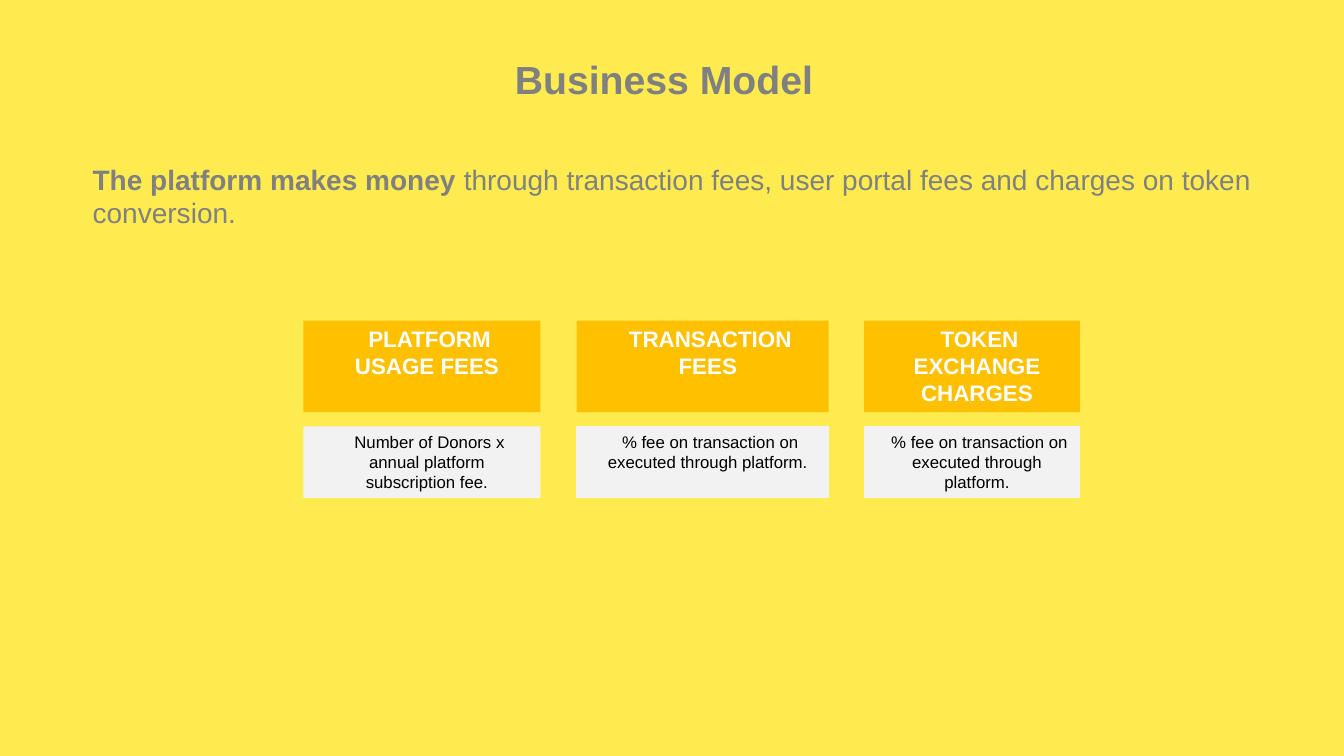
"""Build the Business Model slide."""
from dataclasses import dataclass

from pptx import Presentation, util as u
from pptx.dml.color import RGBColor
from pptx.enum import shapes, text


@dataclass(frozen=True)
class Theme:
    """Colours, font and type sizes."""
    back: str = "FEEB4F"
    gray: str = "808080"
    gold: str = "FFC000"
    pale: str = "F2F2F2"
    white: str = "FFFFFF"
    black: str = "000000"
    font: str = "Arial"
    title: int = 28
    lead: int = 20
    head: int = 16
    body: int = 12


def write(para, words, font, size, color, bold=False):
    """Add one formatted run to a paragraph."""
    run = para.add_run()
    run.text = words
    run.font.name = font
    run.font.size = u.Pt(size)
    run.font.bold = bold
    run.font.color.rgb = RGBColor.from_string(color)


class Deck:
    """Holds the theme and the current slide."""

    def __init__(self, theme):
        """Open a wide deck with one coloured slide."""
        self.theme = theme
        self.file = Presentation()
        self.file.slide_width = u.Inches(13.33)
        self.file.slide_height = u.Inches(7.5)
        self.slide = self.file.slides.add_slide(self.file.slide_layouts[6])
        fill = self.slide.background.fill
        fill.solid()
        fill.fore_color.rgb = RGBColor.from_string(theme.back)

    def label(self, place, runs, size, align=text.PP_ALIGN.LEFT):
        """Add a gray text box from (words, bold) pairs."""
        frame = self.slide.shapes.add_textbox(*map(u.Inches, place)).text_frame
        frame.word_wrap = True
        para = frame.paragraphs[0]
        para.alignment = align
        for words, bold in runs:
            write(para, words, font=self.theme.font, size=size,
                  color=self.theme.gray, bold=bold)

    def card(self, place, words, fill, edge=False, **style):
        """Add a filled box with centred, indented text."""
        box = self.slide.shapes.add_shape(
            shapes.MSO_SHAPE.RECTANGLE, *map(u.Inches, place))
        box.shadow.inherit = False
        color = RGBColor.from_string(fill)
        box.fill.solid()
        box.fill.fore_color.rgb = color
        if edge:
            box.line.color.rgb = color
            box.line.width = u.Pt(0.75)
        else:
            box.line.fill.background()
        frame = box.text_frame
        frame.word_wrap = True
        frame.vertical_anchor = text.MSO_ANCHOR.TOP
        para = frame.paragraphs[0]
        para.level = 1
        para.alignment = text.PP_ALIGN.CENTER
        props = para._p.get_or_add_pPr()
        props.set("marL", str(u.Inches(0.1)))
        props.set("indent", str(u.Inches(0.05)))
        write(para, words, font=self.theme.font, **style)


def main():
    """Draw the slide and save it."""
    theme = Theme()
    deck = Deck(theme)
    deck.label((4.75, 0.5, 3.67, 0.57), [("Business Model", True)],
               theme.title, text.PP_ALIGN.CENTER)
    deck.label((0.82, 1.56, 12.29, 0.77), [
        ("The platform makes money ", True),
        ("through transaction fees, user portal fees and charges on token "
         "conversion.", False)], theme.lead)
    share = "% fee on transaction on executed through platform."
    fees = [
        (3.01, 2.35, "PLATFORM USAGE FEES",
         "Number of Donors x annual platform subscription fee.", False),
        (5.72, 2.5, "TRANSACTION FEES", share, True),
        (8.57, 2.14, "TOKEN EXCHANGE CHARGES", share, True),
    ]
    for left, width, head, body, edge in fees:
        deck.card((left, 3.18, width, 0.91), head, theme.gold,
                  size=theme.head, color=theme.white, bold=True)
        deck.card((left, 4.23, width, 0.71), body, theme.pale, edge,
                  size=theme.body, color=theme.black)
    deck.file.save("out.pptx")


if __name__ == "__main__":
    main()
